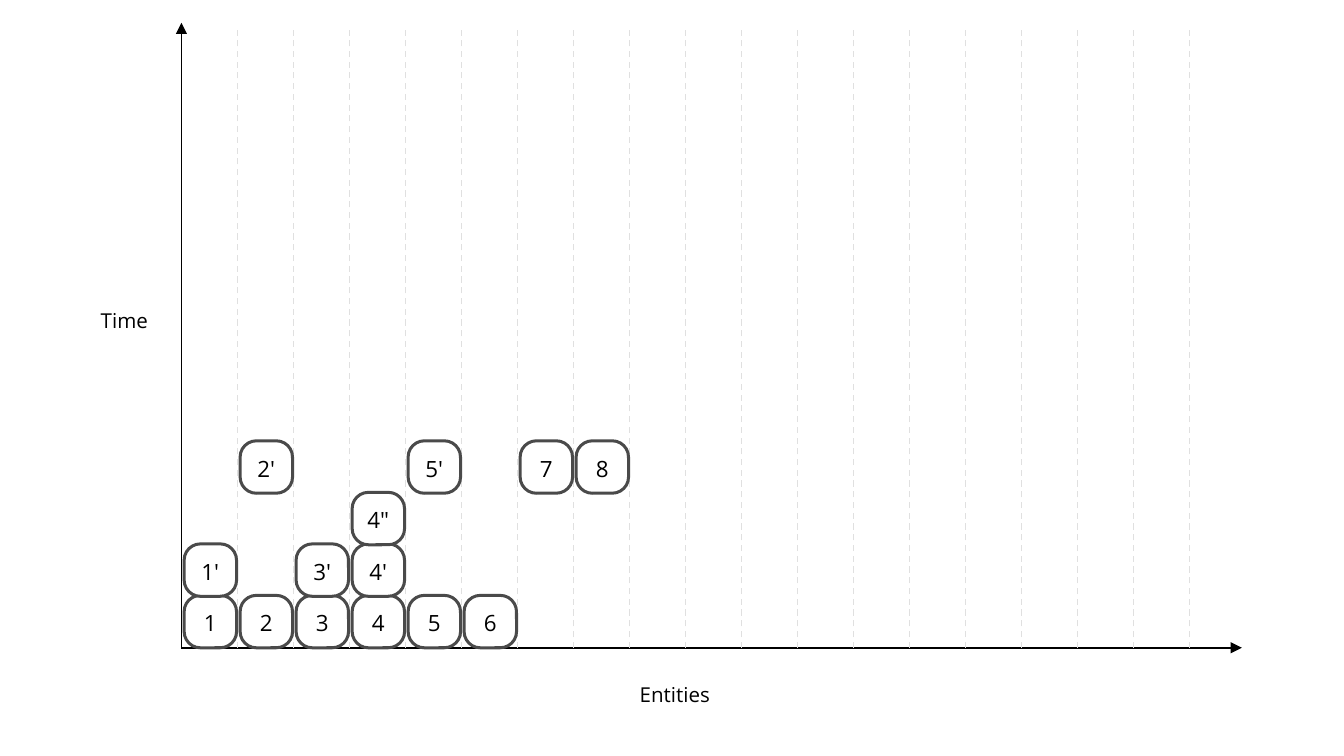
from dataclasses import dataclass

from lxml.etree import SubElement
from pptx import Presentation
from pptx.dml.color import RGBColor as Rgb
from pptx.enum.dml import MSO_LINE as Dash
from pptx.enum.shapes import MSO_CONNECTOR as Link, MSO_SHAPE as Shape
from pptx.enum.text import MSO_ANCHOR as Anchor, PP_ALIGN as Align
from pptx.oxml.ns import qn
from pptx.util import Inches, Pt


@dataclass(frozen=True)
class Theme:
    ink: Rgb = Rgb(0, 0, 0)
    paper: Rgb = Rgb(255, 255, 255)
    grid: Rgb = Rgb(0xE0, 0xE0, 0xE0)
    edge: Rgb = Rgb(0x4A, 0x4A, 0x4A)
    font: str = "Open Sans"
    label: Pt = Pt(11)
    mark: Pt = Pt(12)
    thin: Pt = Pt(0.82)
    thick: Pt = Pt(1.62)


@dataclass(frozen=True)
class Box:
    left: float
    top: float
    width: float
    height: float

    @property
    def right(self):
        return self.left + self.width

    @property
    def base(self):
        return self.top + self.height

    def place(self):
        return [Inches(n) for n in (self.left, self.top, self.width, self.height)]


THEME = Theme()
COLS, ROWS = 18, 12
TILE, GAP, ROUND = 0.39, 0.02, 0.31
ROWS_UP = [
    ["1", "2", "3", "4", "5", "6"],
    ["1'", None, "3'", "4'"],
    [None, None, None, '4"'],
    [None, "2'", None, None, "5'", None, "7", "8"],
]


def style(item, looks):
    for key, value in looks.items():
        setattr(item, key, value)


def write(shape, text, size, align, anchor, space):
    frame = shape.text_frame
    style(frame, dict(word_wrap=True, vertical_anchor=anchor, margin_left=0,
                      margin_top=0, margin_right=0, margin_bottom=0))
    para = frame.paragraphs[0]
    style(para, dict(text=text, alignment=align, line_spacing=space))
    style(para.font, dict(name=THEME.font, size=size))
    para.font.color.rgb = THEME.ink


def add_line(slide, start, end, color, dash=None, arrow=False):
    ends = [Inches(n) for n in (*start, *end)]
    link = slide.shapes.add_connector(Link.STRAIGHT, *ends)
    style(link.line, dict(width=THEME.thin, dash_style=dash))
    link.line.color.rgb = color
    if arrow:
        SubElement(link.line._ln, qn("a:tailEnd"), type="triangle", w="med", len="med")
    SubElement(link._element.spPr, qn("a:effectLst"))


def add_label(slide, box, text):
    shape = slide.shapes.add_textbox(*box.place())
    write(shape, text, THEME.label, Align.LEFT, Anchor.TOP, 1.12)


def add_tile(slide, box, text):
    shape = slide.shapes.add_shape(Shape.ROUNDED_RECTANGLE, *box.place())
    shape.shadow.inherit = False
    shape.adjustments[0] = ROUND
    shape.fill.solid()
    shape.fill.fore_color.rgb = THEME.paper
    shape.line.width = THEME.thick
    shape.line.color.rgb = THEME.edge
    write(shape, text, THEME.mark, Align.CENTER, Anchor.MIDDLE, 1.11)


def draw_axes(slide, box):
    base = (box.left, box.base)
    for end in ((box.left, box.top - 0.05), (box.right + 0.39, box.base)):
        add_line(slide, base, end, THEME.ink, arrow=True)
    add_label(slide, Box(box.left - 0.6, box.top + 2.05, 0.46, 0.21), "Time")
    add_label(slide, Box(box.left + 3.41, box.base + 0.23, 0.96, 0.21), "Entities")


def draw_grid(slide, box):
    for col in range(1, COLS + 1):
        x = box.left + col * box.width / COLS
        add_line(slide, (x, box.base), (x, box.top), THEME.grid, Dash.DASH)


def draw_tiles(slide, box):
    for row, marks in enumerate(ROWS_UP):
        top = box.base - TILE - row * box.height / ROWS
        for col, mark in enumerate(marks):
            if mark:
                left = box.left + GAP + col * box.width / COLS
                add_tile(slide, Box(left, top, TILE, TILE), mark)


def main():
    deck = Presentation()
    wide = Inches(10)
    style(deck, dict(slide_width=wide, slide_height=wide * 9 // 16))
    slide = deck.slides.add_slide(deck.slide_layouts[6])
    plot = Box(1.35, 0.22, 7.5, 4.6)
    for draw in (draw_axes, draw_grid, draw_tiles):
        draw(slide, plot)
    deck.save("out.pptx")


if __name__ == "__main__":
    main()
